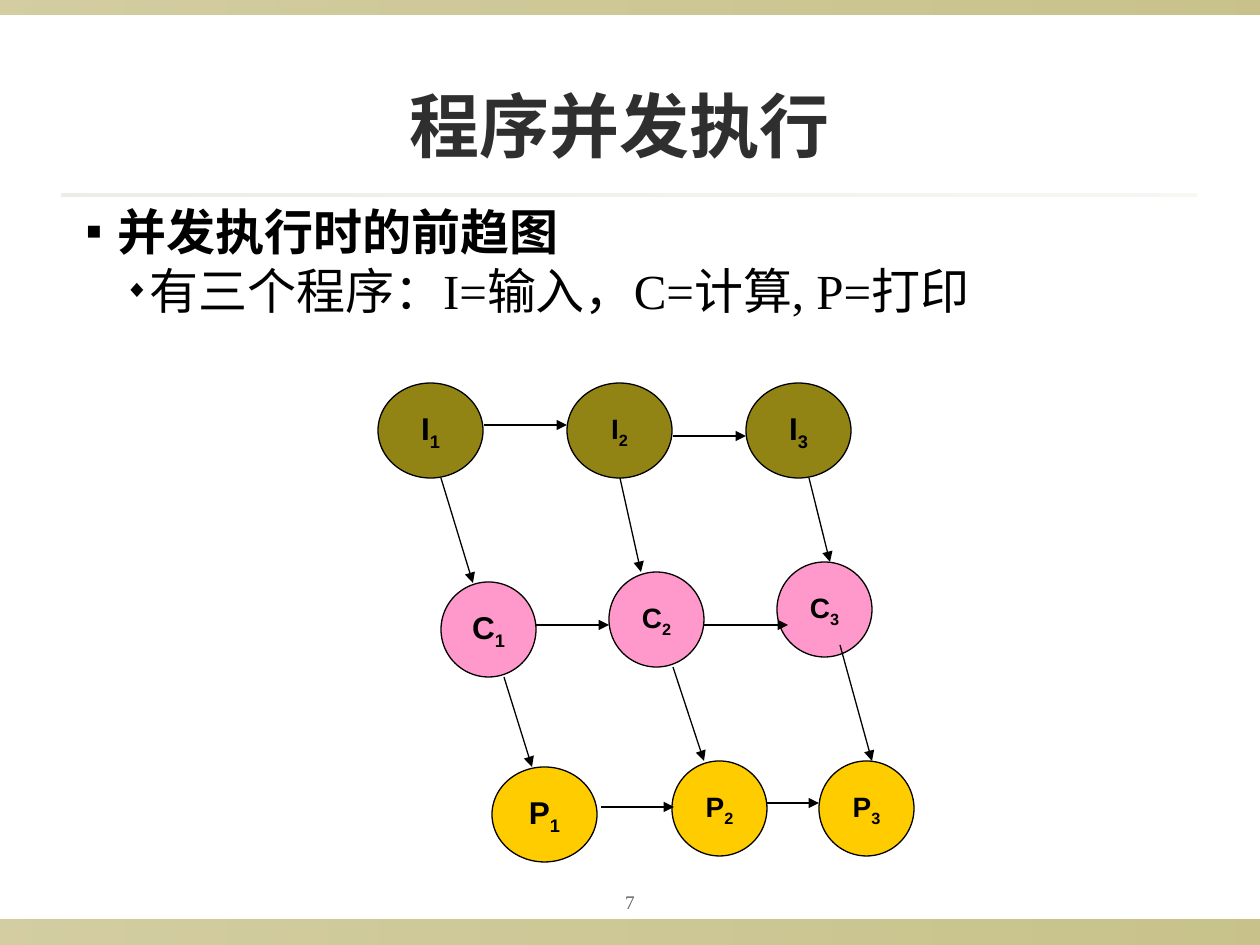
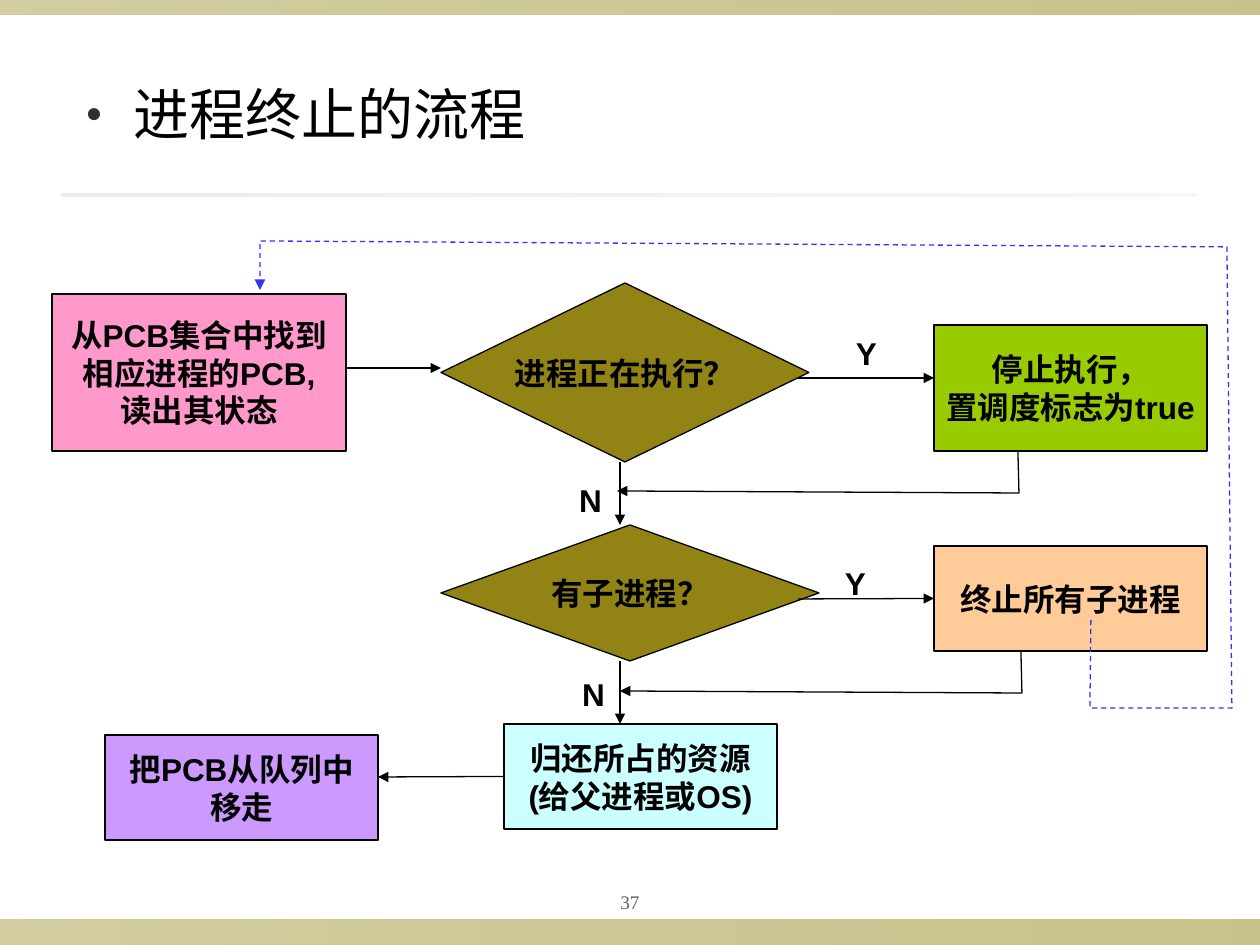
from lxml import etree
from pptx import Presentation
from pptx.dml.color import RGBColor
from pptx.enum.dml import MSO_LINE
from pptx.enum.shapes import MSO_CONNECTOR, MSO_SHAPE
from pptx.enum.text import MSO_ANCHOR, MSO_AUTO_SIZE, PP_ALIGN
from pptx.oxml.ns import qn
from pptx.util import Pt

PX = 7257  # EMU in one px, 126 px to the inch
STRAIGHT = MSO_CONNECTOR.STRAIGHT
OVAL, RECTANGLE = MSO_SHAPE.OVAL, MSO_SHAPE.RECTANGLE
DECISION = MSO_SHAPE.FLOWCHART_DECISION
MIDDLE, CENTER, LEFT = MSO_ANCHOR.MIDDLE, PP_ALIGN.CENTER, PP_ALIGN.LEFT
SERIF, SANS, HEADING = "Times New Roman", "Arial", "Lato"
COLORS = {
    "ink": "000000", "title": "2F2F2F", "number": "636363",
    "olive": "918415", "rule": "DCD9CC", "pink": "FF99CC",
    "gold": "FFCC00", "green": "99CC00", "peach": "FFCC99",
    "cyan": "CCFFFF", "violet": "CC99FF", "blue": "3333FF",
}
RGB = {name: RGBColor.from_string(value) for name, value in COLORS.items()}


def write(shape, lines, size=18, font=SANS, color="ink", bold=True):
    """Put centred, unwrapped lines in the middle of a shape."""
    frame = shape.text_frame
    frame.word_wrap = False
    frame.vertical_anchor = MIDDLE
    frame.text = "\n".join(lines)
    for paragraph in frame.paragraphs:
        paragraph.alignment = CENTER
        paragraph.font.size = Pt(size)
        paragraph.font.name = font
        paragraph.font.bold = bold
        paragraph.font.color.rgb = RGB[color]


def make_arrow(shape, color="ink", dash=None):
    """Give a connector or open outline a thin line with an arrowhead."""
    shape.line.color.rgb = RGB[color]
    shape.line.width = Pt(0.75)
    if dash:
        shape.line.dash_style = dash
    properties = shape._element.spPr
    etree.SubElement(properties.find(qn("a:ln")), qn("a:tailEnd"), type="triangle")
    etree.SubElement(properties, qn("a:effectLst"))


deck = Presentation()
deck.slide_width, deck.slide_height = 1260 * PX, 945 * PX
graph_page = deck.slides.add_slide(deck.slide_layouts[1])
flow_page = deck.slides.add_slide(deck.slide_layouts[5])

# Shared bands, rule and page number: area, colour, opacity at both ends
BANDS = [
    ((0, 920, 1260, 25), "olive", (40, 50)),
    ((0, 0, 1260, 15), "olive", (40, 50)),
    ((62, 194, 1135, 3), "rule", (50, 20)),
]
for page, number in ((graph_page, "7"), (flow_page, "37")):
    for area, color, opacities in BANDS:
        band = page.shapes.add_shape(RECTANGLE, *[v * PX for v in area])
        band.shadow.inherit = False
        band.line.fill.background()
        band.fill.gradient()
        band.fill.gradient_angle = 0
        for stop, opacity in zip(band.fill.gradient_stops, opacities):
            stop.color.rgb = RGB[color]
        for value, opacity in zip(band._element.spPr.iter(qn("a:srgbClr")), opacities):
            etree.SubElement(value, qn("a:alpha"), val=str(opacity * 1000))
    footer = page.shapes.add_textbox(*[v * PX for v in (567, 882, 126, 39)])
    write(footer, [number], 11, SERIF, "number", False)

# Titles and bulleted text
title = graph_page.shapes.title
body = graph_page.placeholders[1]
flow_title = flow_page.shapes.title
for holder, area, text in (
    (title, (84, 76, 1071, 97), "程序并发执行"),
    (body, (74, 195, 993, 189), "并发执行时的前趋图\n有三个程序：I=输入，C=计算, P=打印"),
    (flow_title, (73, 73, 1134, 84), "进程终止的流程"),
):
    holder.left, holder.top, holder.width, holder.height = [v * PX for v in area]
    holder.text_frame.text = text
    holder.text_frame.auto_size = MSO_AUTO_SIZE.NONE
    holder.text_frame.vertical_anchor = MSO_ANCHOR.TOP
write(title, ["程序并发执行"], 40, SERIF, "title")

topic, programs = body.text_frame.paragraphs
programs.level = 1
BULLETED = [
    (topic, "■", "ink", 31, 31, 28, SERIF, True),
    (programs, "◆", "ink", 63, 25, 28, SERIF, False),
    (flow_title.text_frame.paragraphs[0], "●", "title", 48, 48, 32, HEADING, False),
]
for paragraph, bullet, color, margin, hanging, size, font, bold in BULLETED:
    paragraph.alignment = LEFT
    paragraph.space_before = Pt(0)
    properties = paragraph._p.get_or_add_pPr()
    properties.set("marL", str(margin * PX))
    properties.set("indent", str(-hanging * PX))
    bullet_color = etree.SubElement(properties, qn("a:buClr"))
    etree.SubElement(bullet_color, qn("a:srgbClr"), val=COLORS[color])
    etree.SubElement(properties, qn("a:buSzPct"), val="50000")
    etree.SubElement(properties, qn("a:buFont"), typeface=SANS)
    etree.SubElement(properties, qn("a:buChar"), char=bullet)
    paragraph.font.size = Pt(size)
    paragraph.font.name = font
    paragraph.font.bold = bold
    paragraph.font.color.rgb = RGB["ink"]

# Precedence graph: letter, colour, then area and text size of each step
STEPS = [
    ("I", "olive", [(378, 383, 105, 95, 18), (567, 383, 105, 95, 16),
                    (746, 383, 105, 95, 18)]),
    ("C", "pink", [(441, 582, 95, 95, 18), (609, 572, 95, 95, 16),
                   (777, 562, 95, 95, 16)]),
    ("P", "gold", [(492, 767, 105, 95, 18), (672, 761, 95, 95, 16),
                   (819, 761, 95, 95, 16)]),
]
for letter, color, places in STEPS:
    for index, (*area, size) in enumerate(places, 1):
        step = graph_page.shapes.add_shape(OVAL, *[v * PX for v in area])
        step.shadow.inherit = False
        step.fill.solid()
        step.fill.fore_color.rgb = RGB[color]
        step.line.color.rgb = RGB["ink"]
        step.line.width = Pt(0.75)
        write(step, [letter], size)
        subscript = step.text_frame.paragraphs[0].add_run()
        subscript.text = str(index)
        subscript.font._element.set("baseline", "-25000")

GRAPH_ARROWS = [
    (484, 425, 567, 425), (673, 436, 746, 436),
    (536, 625, 609, 625), (704, 625, 788, 625),
    (601, 807, 674, 807), (767, 803, 819, 803),
    (441, 478, 473, 583), (620, 478, 641, 572), (809, 478, 830, 562),
    (504, 677, 532, 767), (673, 667, 704, 761), (840, 645, 872, 761),
]
for ends in GRAPH_ARROWS:
    make_arrow(graph_page.shapes.add_connector(STRAIGHT, *[v * PX for v in ends]))

# Flow chart of process termination
FLOW_BOXES = {
    "find": (RECTANGLE, (52, 294, 294, 157), "pink",
             ["从PCB集合中找到", "相应进程的PCB,", "读出其状态"]),
    "running": (DECISION, (441, 283, 368, 179), "olive", ["进程正在执行？"]),
    "stop": (RECTANGLE, (934, 325, 273, 126), "green",
             ["停止执行，", "置调度标志为true"]),
    "children": (DECISION, (441, 525, 378, 136), "olive", ["有子进程？"]),
    "end children": (RECTANGLE, (934, 546, 273, 105), "peach", ["终止所有子进程"]),
    "release": (RECTANGLE, (504, 724, 273, 105), "cyan",
                ["归还所占的资源", "(给父进程或OS)"]),
    "remove": (RECTANGLE, (105, 735, 273, 105), "violet", ["把PCB从队列中", "移走"]),
}
boxes = {}
for name, (kind, area, color, lines) in FLOW_BOXES.items():
    box = flow_page.shapes.add_shape(kind, *[v * PX for v in area])
    box.shadow.inherit = False
    box.fill.solid()
    box.fill.fore_color.rgb = RGB[color]
    box.line.color.rgb = RGB["ink"]
    box.line.width = Pt(0.75)
    write(box, lines)
    boxes[name] = box

for answer, left, top in (("Y", 777, 316), ("N", 501, 463), ("Y", 766, 546), ("N", 504, 657)):
    label = flow_page.shapes.add_textbox(left * PX, top * PX, 179 * PX, 73 * PX)
    write(label, [answer])

FLOW_ARROWS = {
    "find to running": (346, 368, 441, 368),
    "running yes": (798, 378, 934, 378),
    "running no": (620, 462, 620, 525),
    "children yes": (798, 599, 934, 599),
    "children no": (620, 661, 620, 724),
    "release to remove": (504, 777, 378, 777),
}
arrows = {}
for name, ends in FLOW_ARROWS.items():
    arrows[name] = flow_page.shapes.add_connector(STRAIGHT, *[v * PX for v in ends])
    make_arrow(arrows[name])
arrows["children yes"].end_connect(boxes["end children"], 1)
arrows["release to remove"].begin_connect(boxes["release"], 1)

RETURN_PATHS = [
    ([(1018, 451), (1019, 493), (617, 491)], "ink", None),
    ([(1021, 651), (1022, 693), (620, 691)], "ink", None),
    ([(1091, 620), (1090, 708), (1232, 708), (1227, 247), (260, 241), (260, 290)],
     "blue", MSO_LINE.DASH),
]
for points, color, dash in RETURN_PATHS:
    builder = flow_page.shapes.build_freeform(*points[0], scale=PX)
    builder.add_line_segments(points[1:], close=False)
    return_path = builder.convert_to_shape()
    return_path.fill.background()
    make_arrow(return_path, color, dash)

deck.save("out.pptx")
